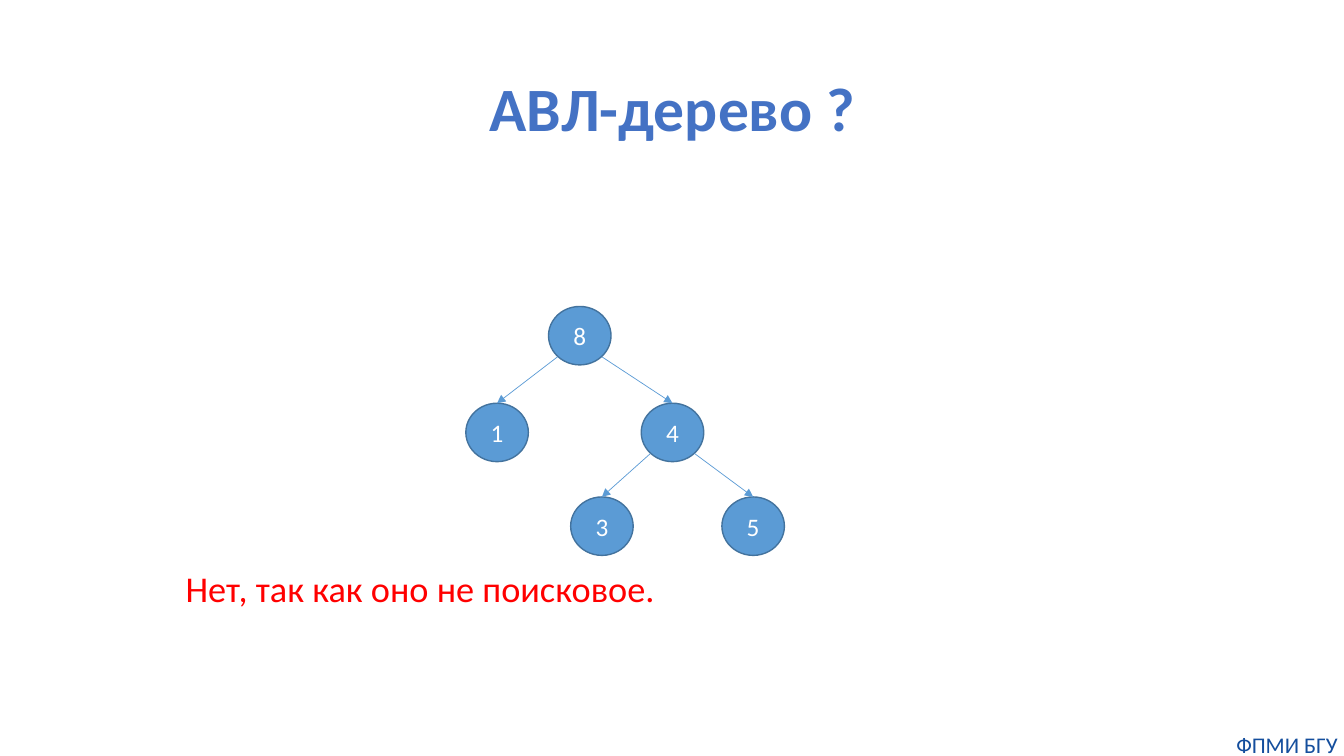
from dataclasses import dataclass
from math import sqrt

from lxml.etree import SubElement
from pptx import Presentation
from pptx.dml.color import RGBColor
from pptx.enum.shapes import MSO_CONNECTOR, MSO_SHAPE
from pptx.enum.text import MSO_ANCHOR, PP_ALIGN
from pptx.oxml.ns import qn
from pptx.util import Emu, Pt

SCALE = 9144  # EMU per px, 100 px to the inch
NODE_W, NODE_H = 62, 58
FONT = "Calibri"
BLUE, OUTLINE = "5B9BD5", "43739E"


@dataclass(frozen=True)
class Node:
    key: str
    left: int
    top: int
    parent: str = ""


TREE = [
    Node("8", 544, 304),
    Node("4", 636, 400, "8"),
    Node("1", 462, 400, "8"),
    Node("3", 566, 493, "4"),
    Node("5", 716, 493, "4"),
]


def px(n: float) -> Emu:
    return Emu(round(n) * SCALE)


def rgb(color: str) -> RGBColor:
    return RGBColor.from_string(color)


def write(sp, text: str, *, size: float, color: str, bold: bool = False,
          align=PP_ALIGN.CENTER, anchor=MSO_ANCHOR.MIDDLE,
          spacing: float = 1.0) -> None:
    tf = sp.text_frame
    tf.word_wrap = True
    tf.vertical_anchor = anchor
    tf.margin_left = tf.margin_right = tf.margin_top = tf.margin_bottom = 0
    p = tf.paragraphs[0]
    p.alignment = align
    p.line_spacing = spacing
    r = p.add_run()
    r.text = text
    r.font.name = FONT
    r.font.size = Pt(size)
    r.font.bold = bold
    r.font.color.rgb = rgb(color)


def add_text(slide, left: int, top: int, width: int, height: int,
             text: str, **fmt) -> None:
    sp = slide.shapes.add_textbox(px(left), px(top), px(width), px(height))
    write(sp, text, **fmt)


def add_node(slide, node: Node):
    sp = slide.shapes.add_shape(MSO_SHAPE.OVAL, px(node.left), px(node.top),
                                px(NODE_W), px(NODE_H))
    sp.shadow.inherit = False
    sp.fill.solid()
    sp.fill.fore_color.rgb = rgb(BLUE)
    sp.line.color.rgb = rgb(OUTLINE)
    sp.line.width = Pt(1)
    write(sp, node.key, size=18, color="FFFFFF")
    return sp


def add_edge(slide, parent: Node, child: Node, child_shape) -> None:
    """Arrow from the parent's lower diagonal point to the child's top."""
    side = 1 if child.left > parent.left else -1
    x = parent.left + NODE_W / 2 * (1 + side / sqrt(2))
    y = parent.top + NODE_H / 2 * (1 + 1 / sqrt(2))
    line = slide.shapes.add_connector(
        MSO_CONNECTOR.STRAIGHT, px(x), px(y),
        px(child.left + NODE_W / 2), px(child.top))
    line.end_connect(child_shape, 0)
    line.line.color.rgb = rgb(BLUE)
    line.line.width = Pt(0.5)
    SubElement(line.line._get_or_add_ln(), qn("a:tailEnd"), type="triangle")
    SubElement(line._element.spPr, qn("a:effectLst"))


def main() -> None:
    prs = Presentation()
    prs.slide_width, prs.slide_height = px(1333), px(750)
    slide = prs.slides.add_slide(prs.slide_layouts[6])

    add_text(slide, 92, 40, 1150, 142, "АВЛ-дерево ?",
             size=44, color="4472C4", bold=True, spacing=0.9)
    add_text(slide, 184, 561, 1048, 44, "Нет, так как оно не поисковое.",
             size=25.9, color="FF0000", align=PP_ALIGN.LEFT)

    nodes = {node.key: node for node in TREE}
    shapes = {node.key: add_node(slide, node) for node in TREE}
    for node in TREE:
        if node.parent:
            add_edge(slide, nodes[node.parent], node, shapes[node.key])

    add_text(slide, 1220, 725, 113, 27, "ФПМИ БГУ",
             size=16, color="144E9D", anchor=MSO_ANCHOR.TOP)
    prs.save("out.pptx")


if __name__ == "__main__":
    main()
